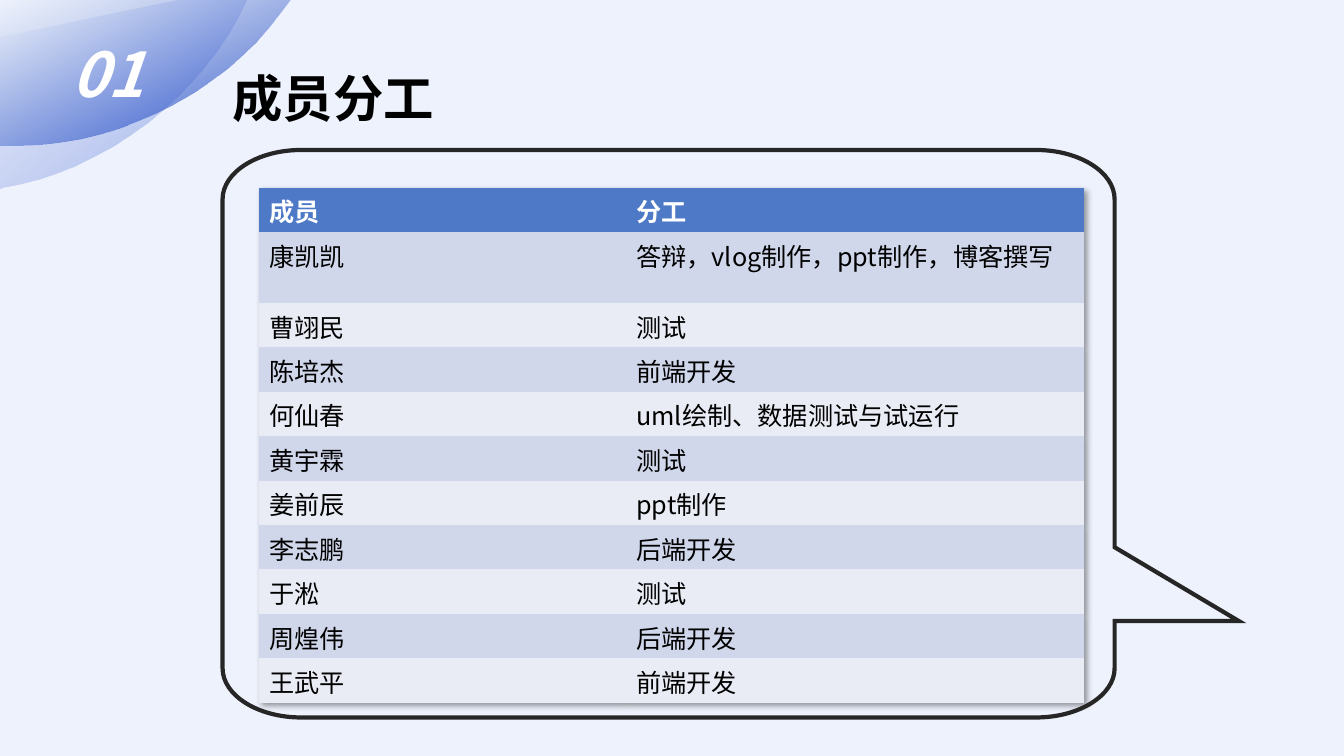
import math

from lxml import etree
from pptx import Presentation
from pptx import util as u
from pptx.dml.color import RGBColor
from pptx.enum import text
from pptx.oxml import parse_xml
from pptx.oxml.ns import nsdecls, qn

FONT = "Noto Sans CJK SC"
BLACK, WHITE = "000000", "FFFFFF"
DUTIES = [
    ("成员", "分工"),
    ("康凯凯", "答辩，vlog制作，ppt制作，博客撰写"),
    ("曹翊民", "测试"),
    ("陈培杰", "前端开发"),
    ("何仙春", "uml绘制、数据测试与试运行"),
    ("黄宇霖", "测试"),
    ("姜前辰", "ppt制作"),
    ("李志鹏", "后端开发"),
    ("于淞", "测试"),
    ("周煌伟", "后端开发"),
    ("王武平", "前端开发"),
]
# Outlines in cm on the slide: a pair is a corner, six numbers are a Bezier curve.
FRONT_PETAL = [(0, 0), (7.32, 0), (7.09, 0.3),
               (6.32, 1.35, 5.26, 2.21, 3.99, 2.82),
               (2.72, 3.43, 1.37, 3.71, 0.1, 3.66), (0, 3.66)]
BACK_PETAL = [(4.52, 0), (6.22, 0), (6.22, 0.03),
              (5.69, 1.17, 4.83, 2.26, 3.71, 3.1),
              (2.59, 3.96, 1.35, 4.5, 0.08, 4.72), (0, 4.75), (0, 0.94)]


def rgb(hex_color):
    return RGBColor.from_string(hex_color)


def style_run(r, color, **font):
    r.font.color.rgb = rgb(color)
    for name, value in {"name": FONT, **font}.items():
        setattr(r.font, name, value)
    etree.SubElement(r.font._element, qn("a:ea")).set("typeface", FONT)


def set_opacity(clr, percent):
    etree.SubElement(clr, qn("a:alpha")).set("val", str(percent * 1000))


def add_outline(s, box, outline, rotation=0):
    """Draw an outline in a box that is then turned about its centre."""
    left, top, width, height = box
    cx, cy = left + width / 2, top + height / 2
    cos, sin = math.cos(math.radians(rotation)), math.sin(math.radians(rotation))

    def to_box(x, y):
        dx, dy = x - cx, y - cy
        return (u.Cm(width / 2 + dx * cos + dy * sin),
                u.Cm(height / 2 + dy * cos - dx * sin))

    builder = s.shapes.build_freeform(u.Cm(left), u.Cm(top))
    builder.add_line_segments([(u.Cm(left + width), u.Cm(top + height))], close=True)
    sp = builder.convert_to_shape()
    path = next(sp._element.iter(qn("a:path")))
    for child in list(path):
        path.remove(child)
    for i, part in enumerate(outline):
        tag = "a:moveTo" if i == 0 else "a:lnTo" if len(part) == 2 else "a:cubicBezTo"
        step = etree.SubElement(path, qn(tag))
        for x, y in zip(part[::2], part[1::2]):
            px, py = to_box(x, y)
            pt = etree.SubElement(step, qn("a:pt"))
            pt.set("x", str(int(px)))
            pt.set("y", str(int(py)))
    etree.SubElement(path, qn("a:close"))
    sp.rotation = rotation
    sp.shadow.inherit = False
    return sp


def add_petal(s, box, outline, rotation, stops):
    """Stops are pairs of colour and opacity in percent."""
    sp = add_outline(s, box, outline, rotation)
    sp.line.fill.background()
    sp.fill.gradient()
    sp.fill.gradient_angle = 359
    for i, (stop, (color, _)) in enumerate(zip(sp.fill.gradient_stops, stops)):
        stop.position = i
        stop.color.rgb = rgb(color)
    for clr, (_, opacity) in zip(sp._element.spPr.iter(qn("a:srgbClr")), stops):
        set_opacity(clr, opacity)


def add_callout(s, box, rx, ry, tail):
    left, top, right, bottom = box[0], box[1], tail[0][0], box[1] + box[3]
    kx, ky = rx * 0.45, ry * 0.45
    sp = add_outline(s, box, [
        (right - rx, top), (left + rx, top),
        (left + kx, top, left, top + ky, left, top + ry),
        (left, bottom - ry),
        (left, bottom - ky, left + kx, bottom, left + rx, bottom),
        (right - rx, bottom),
        (right - kx, bottom, right, bottom - ky, right, bottom - ry),
        *tail, (right, top + ry),
        (right, top + ky, right - kx, top, right - rx, top)])
    sp.fill.background()
    sp.line.color.rgb = rgb("262626")
    sp.line.width = u.Pt(3)
    etree.SubElement(sp.line._get_or_add_ln(), qn("a:miter")).set("lim", "800000")


def add_label(s, box, words, color, **font):
    tf = s.shapes.add_textbox(*map(u.Cm, box)).text_frame
    tf.word_wrap = False
    tf.auto_size = text.MSO_AUTO_SIZE.SHAPE_TO_FIT_TEXT
    r = tf.paragraphs[0].add_run()
    r.text = words
    style_run(r, color, bold=True, **font)


def add_duty_table(s, left, top, widths, row_height):
    frame = s.shapes.add_table(len(DUTIES), len(widths), u.Cm(left), u.Cm(top),
                               u.Cm(sum(widths)), u.Cm(row_height * len(DUTIES)))
    table = frame.table
    for column, width in zip(table.columns, widths):
        column.width = u.Cm(width)
    for i, row in enumerate(DUTIES):
        table.rows[i].height = u.Cm(row_height)
        header = i == 0
        band = "4E79C7" if header else ("E9ECF5", "D0D7EB")[i % 2]
        for j, words in enumerate(row):
            cell = table.cell(i, j)
            cell.fill.solid()
            cell.fill.fore_color.rgb = rgb(band)
            r = cell.text_frame.paragraphs[0].add_run()
            r.text = words
            style_run(r, WHITE if header else BLACK, size=u.Pt(18), bold=header)
    table._tbl.tblPr.insert(0, parse_xml(
        f'<a:effectLst {nsdecls("a")}><a:outerShdw blurRad="50800" dist="38100" '
        'dir="2700000" algn="tl" rotWithShape="0"><a:srgbClr val="000000">'
        '<a:alpha val="40000"/></a:srgbClr></a:outerShdw></a:effectLst>'))
    # A style without a grid, so that only the cell fills show.
    table._tbl.tblPr.find(qn("a:tableStyleId")).text = "{2D5ABB26-0587-4C30-8999-92F81FD0307C}"


def main():
    prs = Presentation()
    prs.slide_width, prs.slide_height = u.Cm(33.87), u.Cm(19.05)
    s = prs.slides.add_slide(prs.slide_layouts[6])
    s.background.fill.solid()
    s.background.fill.fore_color.rgb = rgb("CFD9F7")
    set_opacity(next(s.background._cSld.iter(qn("a:srgbClr"))), 34)
    add_petal(s, (1.04, -3.25, 4.27, 8.18), FRONT_PETAL, 64.4,
              [("88A5D9", 0), ("2148C8", 100)])
    add_petal(s, (0.51, -2.36, 3.96, 7.82), BACK_PETAL, 52.6,
              [("849DEB", 0), ("2148C8", 46)])
    add_label(s, (1.55, 0.79, 2.44, 2.13), "01", WHITE, size=u.Pt(44), italic=True)
    add_label(s, (5.61, 1.57, 5.64, 1.8), "成员分工", BLACK, size=u.Pt(36))
    add_duty_table(s, 6.53, 4.73, (9.25, 11.53), 1.12)
    add_callout(s, (5.61, 3.78, 25.6, 14.3), 1.98, 1.24,
                tail=[(28.09, 15.65), (31.22, 15.65), (28.09, 13.79)])
    prs.save("out.pptx")


if __name__ == "__main__":
    main()
